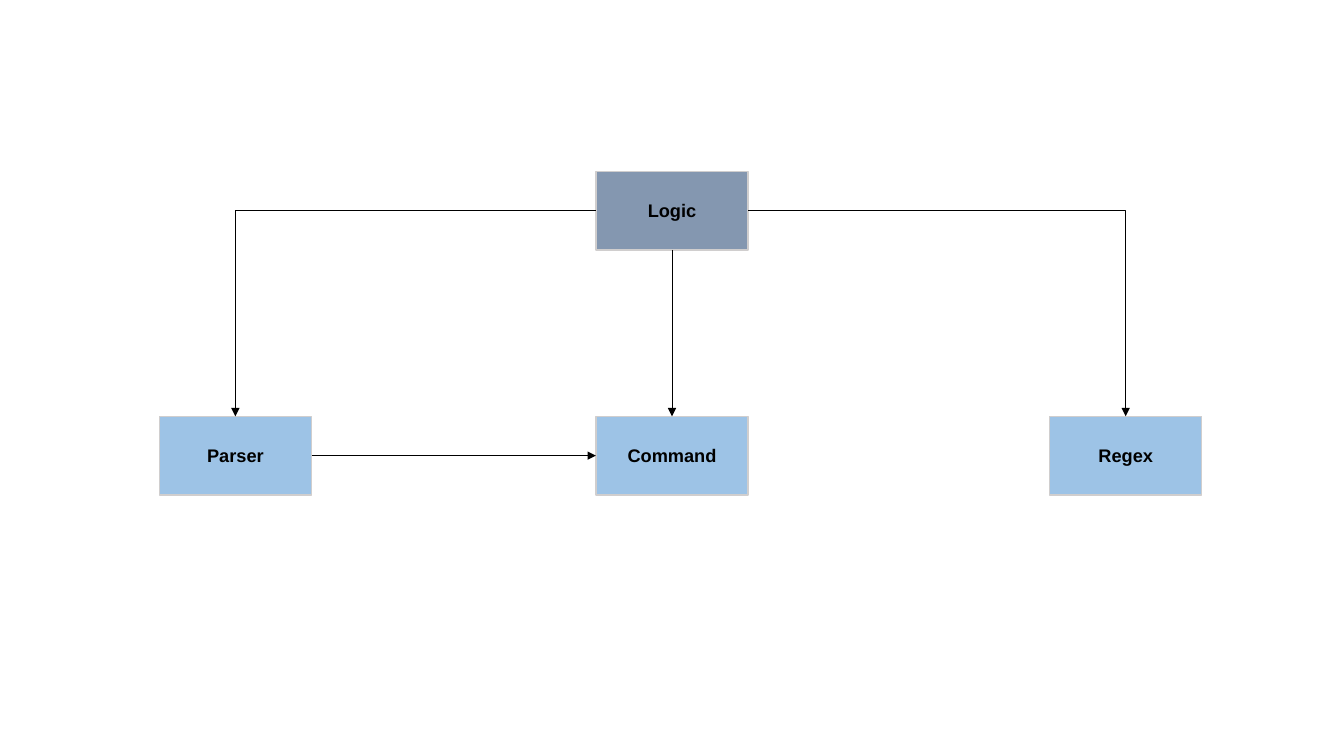
import dataclasses

import pptx
import pptx.dml.color
import pptx.enum.shapes
import pptx.enum.text
import pptx.oxml
import pptx.oxml.ns
import pptx.util
from pptx.util import Inches

TOP, LEFT, BOTTOM, RIGHT = range(4)
BOX_W, BOX_H = 1.51, 0.78
UPPER_ROW, LOWER_ROW = 1.7, 4.13
PARSER_X, CENTRE_X, REGEX_X = 1.58, 5.91, 10.41


@dataclasses.dataclass(frozen=True)
class Theme:
    """Colours, font and sizes of the diagram."""
    root: str = "8497B0"
    child: str = "9DC3E6"
    border: str = "D0CECE"
    ink: str = "000000"
    font: str = "Arial"
    text_size: float = 13
    border_width: float = 1
    arrow_width: float = 0.5


THEME = Theme()


def rgb(value):
    """Turn a hex string into a colour."""
    return pptx.dml.color.RGBColor.from_string(value)


def write(tf, text, *, size=THEME.text_size, color=THEME.ink, bold=False,
          align=pptx.enum.text.PP_ALIGN.CENTER):
    """Put one formatted line of text in a text frame."""
    tf.word_wrap = True
    tf.vertical_anchor = pptx.enum.text.MSO_ANCHOR.MIDDLE
    p = tf.paragraphs[0]
    p.alignment = align
    r = p.add_run()
    r.text = text
    r.font.name = THEME.font
    r.font.size = pptx.util.Pt(size)
    r.font.bold = bold
    r.font.color.rgb = rgb(color)


def add_box(s, text, x, y, fill):
    """Draw a labelled component box."""
    sp = s.shapes.add_shape(pptx.enum.shapes.MSO_SHAPE.RECTANGLE, Inches(x),
                            Inches(y), Inches(BOX_W), Inches(BOX_H))
    sp.shadow.inherit = False
    sp.fill.solid()
    sp.fill.fore_color.rgb = rgb(fill)
    sp.line.color.rgb = rgb(THEME.border)
    sp.line.width = pptx.util.Pt(THEME.border_width)
    write(sp.text_frame, text, bold=True)
    return sp


def add_arrow(s, start, start_side, end, end_side, bent=False):
    """Join two boxes with an arrow, straight or with one corner."""
    kinds = pptx.enum.shapes.MSO_CONNECTOR
    c = s.shapes.add_connector(kinds.ELBOW if bent else kinds.STRAIGHT, 0, 0, 0, 0)
    c.begin_connect(start, start_side)
    c.end_connect(end, end_side)
    c.line.color.rgb = rgb(THEME.ink)
    c.line.width = pptx.util.Pt(THEME.arrow_width)
    qn = pptx.oxml.ns.qn
    sppr = c.element.spPr
    if bent:
        sppr.find(qn("a:prstGeom")).set("prst", "bentConnector2")
    head = pptx.oxml.parse_xml(
        f'<a:tailEnd {pptx.oxml.ns.nsdecls("a")} type="triangle"/>')
    sppr.find(qn("a:ln")).append(head)
    sppr.append(pptx.oxml.parse_xml(f'<a:effectLst {pptx.oxml.ns.nsdecls("a")}/>'))


def main():
    """Build the component diagram and save it."""
    prs = pptx.Presentation()
    prs.slide_width, prs.slide_height = Inches(13.33), Inches(7.5)
    s = prs.slides.add_slide(prs.slide_layouts[6])

    logic = add_box(s, "Logic", CENTRE_X, UPPER_ROW, THEME.root)
    parser, command, regex = (
        add_box(s, text, x, LOWER_ROW, THEME.child)
        for text, x in (("Parser", PARSER_X), ("Command", CENTRE_X), ("Regex", REGEX_X)))

    add_arrow(s, logic, LEFT, parser, TOP, bent=True)
    add_arrow(s, logic, BOTTOM, command, TOP)
    add_arrow(s, logic, RIGHT, regex, TOP, bent=True)
    add_arrow(s, parser, RIGHT, command, LEFT)

    prs.save("out.pptx")


if __name__ == "__main__":
    main()
